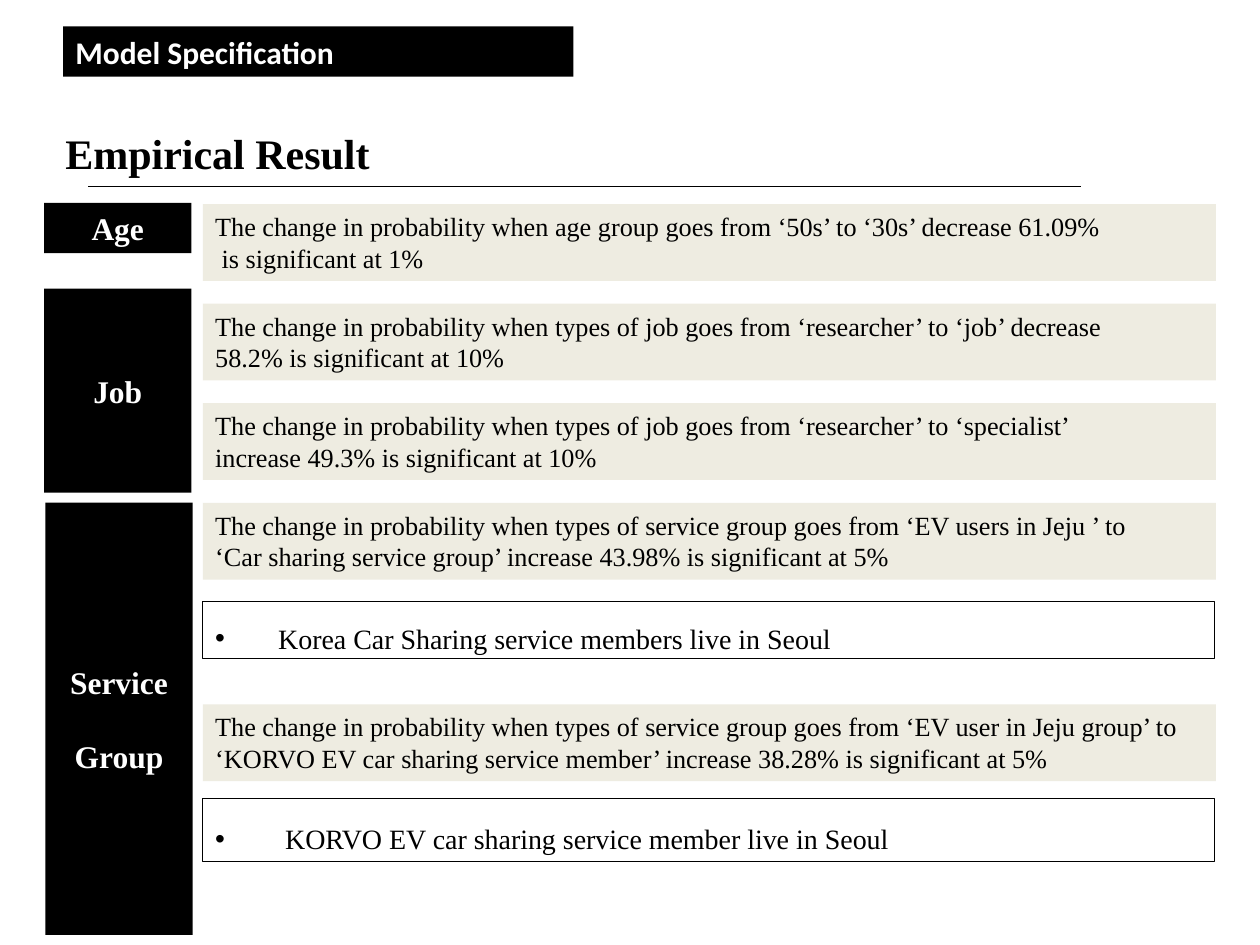
from pptx import Presentation
from pptx.dml.color import RGBColor
from pptx.enum.shapes import MSO_CONNECTOR, MSO_SHAPE
from pptx.enum.text import MSO_ANCHOR, PP_ALIGN
from pptx.oxml.ns import qn
from pptx.util import Inches, Pt
from lxml import etree

RECT = MSO_SHAPE.RECTANGLE
STRAIGHT = MSO_CONNECTOR.STRAIGHT
TOP, MIDDLE = MSO_ANCHOR.TOP, MSO_ANCHOR.MIDDLE
LEFT, CENTER = PP_ALIGN.LEFT, PP_ALIGN.CENTER

COLORS = {"black": "000000", "white": "FFFFFF", "beige": "EEECE1"}
SERIF, SANS = "Times New Roman", "Calibri"

FINDING_LEFT, FINDING_TOP, FINDING_STEP = 1.61, 1.62, 0.79
FINDINGS = [
    "The change in probability when age group goes from ‘50s’ to ‘30s’ decrease 61.09%\n"
    " is significant at 1%",
    "The change in probability when types of job goes from ‘researcher’ to ‘job’ decrease\n"
    "58.2% is significant at 10%",
    "The change in probability when types of job goes from ‘researcher’ to ‘specialist’\n"
    "increase 49.3% is significant at 10%",
    "The change in probability when types of service group goes from ‘EV users in Jeju ’ to\n"
    "‘Car sharing service group’ increase 43.98% is significant at 5%",
]
LAST_FINDING = (
    "The change in probability when types of service group goes from ‘EV user in Jeju group’ to\n"
    "‘KORVO EV car sharing service member’ increase 38.28% is significant at 5%"
)
LABELS = [("Age", 0.35, 1.61, 0.4), ("Job", 0.35, 2.29, 1.62),
          ("Service\nGroup", 0.36, 3.99, 3.43)]
NOTES = [("Korea Car Sharing service members live in Seoul", 4.77, 0.46),
         (" KORVO EV car sharing service member live in Seoul", 6.34, 0.5)]


def rgb(name):
    return RGBColor.from_string(COLORS[name])


class SlideBuilder:
    def __init__(self, slide):
        self.s = slide

    def set_text(self, sp, text, size, color="black", font=SERIF, bold=False,
                 align=LEFT, anchor=TOP):
        tf = sp.text_frame
        tf.word_wrap = True
        tf.vertical_anchor = anchor
        tf.text = text
        for p in tf.paragraphs:
            p.alignment = align
            for r in p.runs:
                r.font.name, r.font.size, r.font.bold = font, Pt(size), bold
                r.font.color.rgb = rgb(color)
        return tf.paragraphs

    def box(self, x, y, w, h, fill, line=None):
        sp = self.s.shapes.add_shape(RECT, Inches(x), Inches(y), Inches(w), Inches(h))
        sp.shadow.inherit = False
        sp.fill.solid()
        sp.fill.fore_color.rgb = rgb(fill)
        if line:
            sp.line.color.rgb = rgb(line)
            sp.line.width = Pt(0.5)
        else:
            sp.line.fill.background()
        return sp

    def title(self, text, x, y, w, h):
        sp = self.s.shapes.add_textbox(Inches(x), Inches(y), Inches(w), Inches(h))
        self.set_text(sp, text, 24, bold=True)

    def banner(self, text, x, y, w, h):
        self.set_text(self.box(x, y, w, h, "black"), text, 18, "white", SANS, True)

    def rule(self, x1, x2, y):
        line = self.s.shapes.add_connector(
            STRAIGHT, Inches(x1), Inches(y), Inches(x2), Inches(y))
        line.line.color.rgb = rgb("black")
        line.line.width = Pt(1)
        etree.SubElement(line._element.spPr, qn("a:effectLst"))

    def label(self, text, x, y, h):
        sp = self.box(x, y, 1.17, h, "black")
        paragraphs = self.set_text(sp, text, 18, "white", bold=True,
                                   align=CENTER, anchor=MIDDLE)
        for p in paragraphs[1:]:
            p.space_before = Pt(21)

    def finding(self, text, y):
        self.set_text(self.box(FINDING_LEFT, y, 8.04, 0.61, "beige"), text, 15)

    def note(self, text, y, h):
        """Outlined box holding one bulleted line."""
        sp = self.box(FINDING_LEFT, y, 8.03, h, "white", "black")
        p = self.set_text(sp, text, 16, anchor=MIDDLE)[0]
        p.line_spacing = 1.5
        pPr = p._p.get_or_add_pPr()
        pPr.set("marL", str(Inches(0.5)))
        pPr.set("indent", str(Inches(-0.5)))
        etree.SubElement(pPr, qn("a:buFont"), typeface="Arial")
        etree.SubElement(pPr, qn("a:buChar"), char="•")


def main():
    prs = Presentation()
    prs.slide_width, prs.slide_height = Inches(10), Inches(7.5)
    b = SlideBuilder(prs.slides.add_slide(prs.slide_layouts[6]))

    b.title("Empirical Result", 0.42, 0.96, 8, 0.48)
    b.banner("Model Specification", 0.5, 0.21, 4.05, 0.4)
    b.rule(0.7, 8.58, 1.48)
    for i, text in enumerate(FINDINGS):
        b.finding(text, FINDING_TOP + i * FINDING_STEP)
    b.finding(LAST_FINDING, 5.59)
    for label in LABELS:
        b.label(*label)
    for note in NOTES:
        b.note(*note)

    prs.save("out.pptx")


if __name__ == "__main__":
    main()
